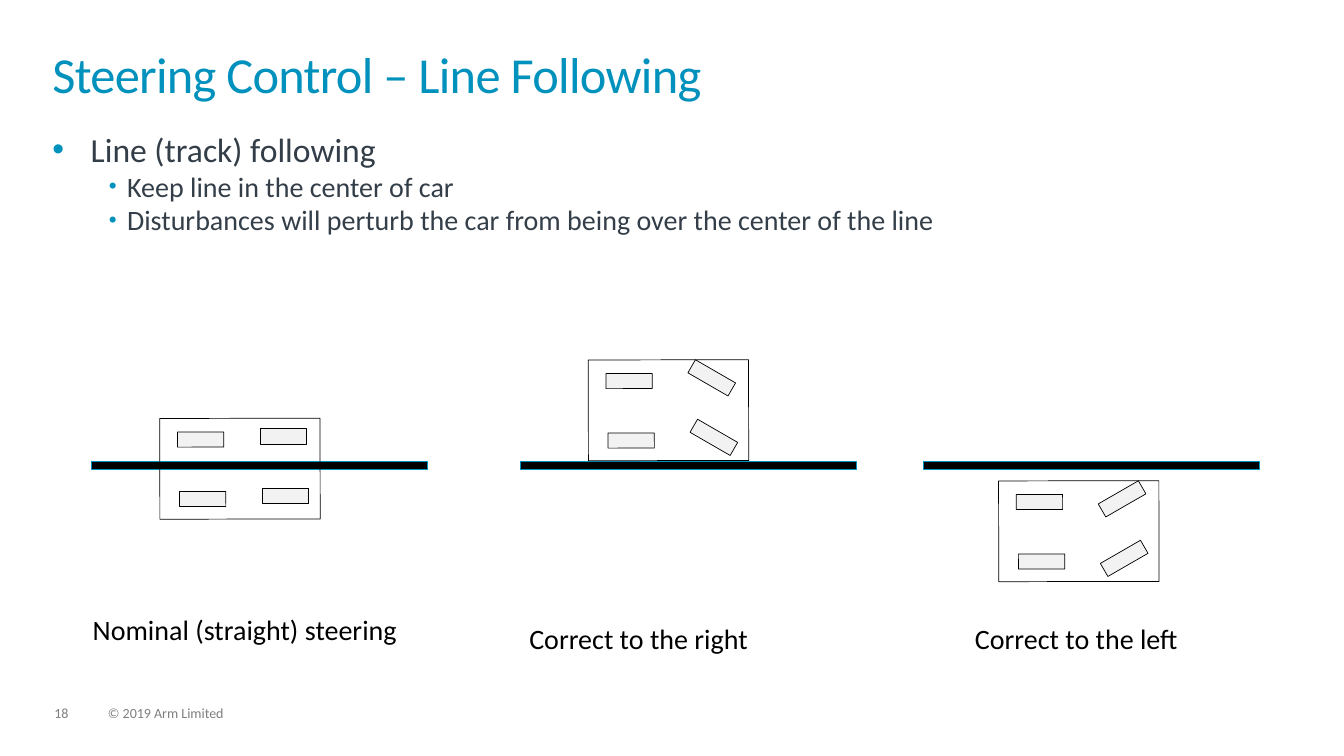
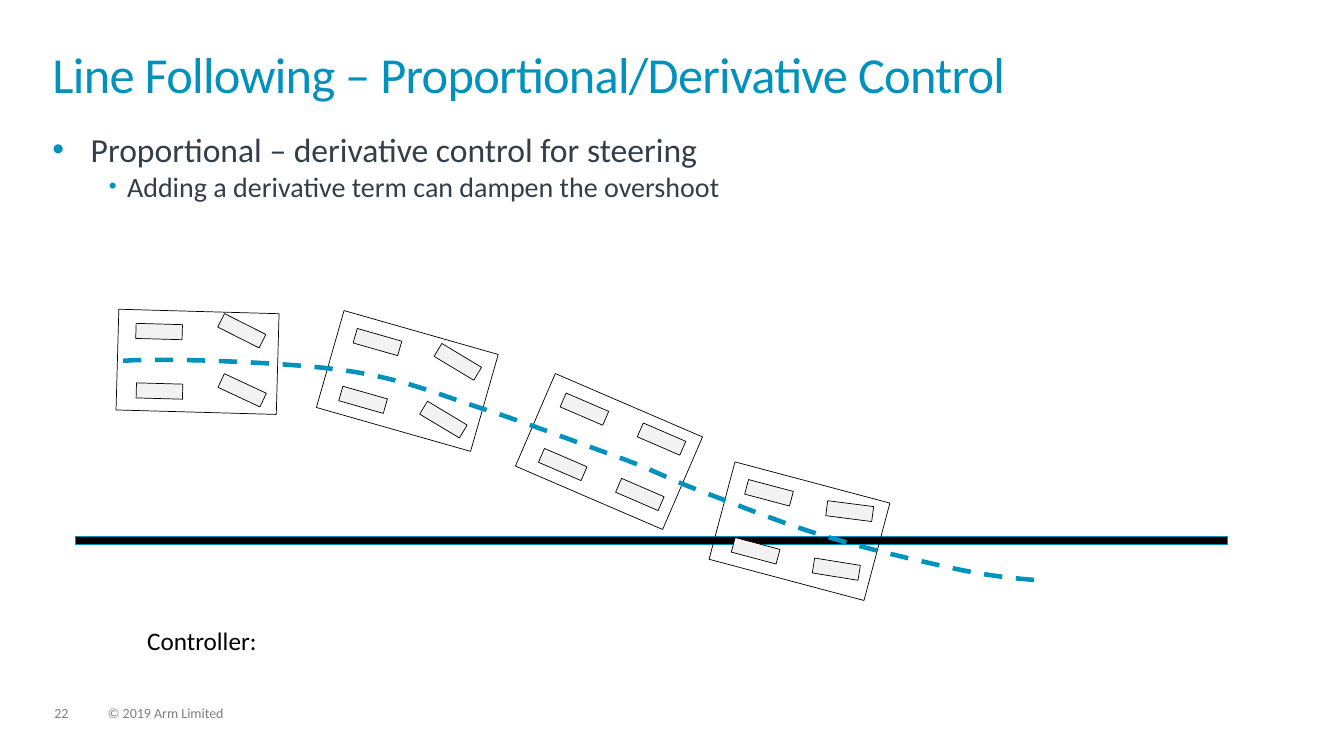
import math

import pptx
import pptx.dml.color
import pptx.enum.dml
import pptx.enum.shapes
import pptx.oxml.ns
import pptx.util
from lxml import etree
from pptx.util import Inches, Pt

RGBColor = pptx.dml.color.RGBColor
BLUE = RGBColor(0x00, 0x91, 0xBD)
SLATE = RGBColor(0x33, 0x3E, 0x48)
GREY = RGBColor(0x7F, 0x7F, 0x7F)
PALE = RGBColor(0xF2, 0xF2, 0xF2)
BLACK = RGBColor(0x00, 0x00, 0x00)
FONT = "Calibri"

# Car geometry: wheel centres relative to the car centre, rear then front
CAR_SIZE = (1.59, 1.0)
WHEEL_SIZE = (0.46, 0.15)
REAR_WHEELS = [(-0.39, -0.29), (-0.37, 0.3)]
FRONT_WHEELS = [(0.43, -0.32), (0.45, 0.27)]

# Bullet levels: text size, left margin, hanging indent, bullet size in percent
LEVELS = [(24, 0.38, 0.38, 100), (20, 0.74, 0.18, 80)]


def style_text(para, size, color):
    for span in para.runs:
        span.font.name = FONT
        span.font.size = Pt(size)
        span.font.color.rgb = color


def add_text(page, box, text, size, color, line_spacing=1.0):
    """Add a text box without insets and return its first paragraph."""
    frame = page.shapes.add_textbox(*map(Inches, box)).text_frame
    frame.margin_left = frame.margin_right = 0
    frame.margin_top = frame.margin_bottom = 0
    frame.word_wrap = True
    para = frame.paragraphs[0]
    para.text = text
    para.line_spacing = line_spacing
    style_text(para, size, color)
    return para


def add_bullet(para, level):
    size, margin, hanging, percent = LEVELS[level]
    props = para._p.get_or_add_pPr()
    props.set("marL", str(Inches(margin)))
    props.set("indent", str(-Inches(hanging)))
    para.level = level
    color = etree.SubElement(props, pptx.oxml.ns.qn("a:buClr"))
    etree.SubElement(color, pptx.oxml.ns.qn("a:srgbClr"), val=str(BLUE))
    etree.SubElement(props, pptx.oxml.ns.qn("a:buSzPct"), val=str(percent * 1000))
    etree.SubElement(props, pptx.oxml.ns.qn("a:buFont"), typeface="Arial")
    etree.SubElement(props, pptx.oxml.ns.qn("a:buChar"), char="•")
    style_text(para, size, SLATE)


def add_frame(deck, number, title, heading, points):
    """Start a slide with its title, bullets and footer."""
    page = deck.slides.add_slide(deck.slide_layouts[6])
    para = add_text(page, (0.52, 0.52, 12.28, 0.72), title, 36, BLUE, 0.85)
    para.runs[0]._r.get_or_add_rPr().set("spc", "-50")

    para = add_text(page, (0.52, 1.28, 12.28, 4.47), heading, 24, SLATE)
    add_bullet(para, 0)
    frame = page.shapes[-1].text_frame
    for point in points:
        para = frame.add_paragraph()
        para.text = point
        add_bullet(para, 1)

    add_text(page, (0.54, 7.01, 0.34, 0.15), str(number), 10, GREY, 0.9)
    add_text(page, (1.07, 7.01, 1.71, 0.15), "© 2019 Arm Limited", 10, GREY, 0.9)
    return page


def add_rect(shapes, box, fill, line, angle=0):
    rect = shapes.add_shape(
        pptx.enum.shapes.MSO_SHAPE.RECTANGLE, *map(Inches, box))
    rect.shadow.inherit = False
    rect.rotation = angle
    if fill is None:
        rect.fill.background()
    else:
        rect.fill.solid()
        rect.fill.fore_color.rgb = fill
    rect.line.color.rgb = line
    rect.line.width = Pt(0.5)


def add_track(page, left, top, width):
    add_rect(page.shapes, (left, top, width, 0.08), BLACK, BLUE)


def add_car(page, center, angle, steering):
    """Draw a car turned by angle; steering holds both front wheel angles."""
    shapes = page.shapes.add_group_shape().shapes
    cos, sin = math.cos(math.radians(angle)), math.sin(math.radians(angle))

    def add_part(offset, size, fill, turn):
        x, y = offset
        left = center[0] + x * cos - y * sin - size[0] / 2
        top = center[1] + x * sin + y * cos - size[1] / 2
        add_rect(shapes, (left, top, *size), fill, BLACK, turn)

    for offset in REAR_WHEELS:
        add_part(offset, WHEEL_SIZE, PALE, angle)
    for offset, turn in zip(FRONT_WHEELS, steering):
        add_part(offset, WHEEL_SIZE, PALE, turn)
    add_part((0, 0), CAR_SIZE, None, angle)


def add_trajectory(page, start, curves, steps=12):
    """Draw a dashed line through cubic Bezier curves."""
    points = [start]
    for first, second, end in curves:
        begin = points[-1]
        for step in range(1, steps + 1):
            t = step / steps
            weights = ((1 - t) ** 3, 3 * t * (1 - t) ** 2,
                       3 * t * t * (1 - t), t ** 3)
            corners = (begin, first, second, end)
            points.append(tuple(
                sum(w * corner[axis] for w, corner in zip(weights, corners))
                for axis in (0, 1)))
    # Freeform vertices are whole numbers, so they are given in EMU
    vertices = [(Inches(x), Inches(y)) for x, y in points]
    builder = page.shapes.build_freeform(*vertices[0], scale=1.0)
    builder.add_line_segments(vertices[1:], close=False)
    curve = builder.convert_to_shape()
    curve.shadow.inherit = False
    curve.fill.background()
    curve.line.color.rgb = BLUE
    curve.line.width = Pt(3.25)
    curve.line.dash_style = pptx.enum.dml.MSO_LINE.DASH


def build_steering_slide(deck):
    page = add_frame(
        deck, 18, "Steering Control – Line Following",
        "Line (track) following",
        ["Keep line in the center of car",
         "Disturbances will perturb the car from being over the center of the line"])
    # Track left, car centre, front wheel angle, caption and its place
    cases = [
        (0.91, (2.38, 4.65), 0, "Nominal (straight) steering", (0.92, 6.08)),
        (5.16, (6.63, 4.07), 30, "Correct to the right", (5.25, 6.17)),
        (9.16, (10.7, 5.27), -30, "Correct to the left", (9.67, 6.17)),
    ]
    for track_left, center, turn, caption, place in cases:
        add_track(page, track_left, 4.58, 3.33)
        add_car(page, center, -0.1, (turn, turn))
        add_text(page, (*place, 3.33, 0.42), caption, 20, BLACK)


def build_control_slide(deck):
    page = add_frame(
        deck, 22, "Line Following – Proportional/Derivative Control",
        "Proportional – derivative control for steering",
        ["Adding a derivative term can dampen the overshoot"])
    add_track(page, 0.75, 5.32, 11.42)
    # Car centre, car angle, front wheel angles
    cars = [
        ((1.96, 3.59), 1.6, (26.8, 25)),
        ((4.04, 3.78), 15.9, (31, 31)),
        ((6.04, 4.48), 23.3, (23.4, 23.4)),
        ((7.93, 5.27), 14.9, (7.3, 9.1)),
    ]
    for car in cars:
        add_car(page, *car)
    add_trajectory(page, (1.22, 3.58), [
        ((1.58, 3.55), (2.79, 3.59), (3.38, 3.67)),
        ((3.98, 3.75), (4.31, 3.9), (4.77, 4.05)),
        ((5.24, 4.2), (5.83, 4.43), (6.2, 4.56)),
        ((6.56, 4.7), (6.65, 4.76), (6.97, 4.88)),
        ((7.29, 5), (7.7, 5.17), (8.12, 5.3)),
        ((8.53, 5.43), (9.09, 5.56), (9.46, 5.64)),
        ((9.83, 5.72), (10.08, 5.74), (10.33, 5.76)),
    ])
    add_text(page, (1.46, 6.2, 2.3, 0.3), "Controller:", 18, BLACK)


def main():
    deck = pptx.Presentation()
    deck.slide_width, deck.slide_height = Inches(13.33), Inches(7.5)
    build_steering_slide(deck)
    build_control_slide(deck)
    deck.save("out.pptx")


if __name__ == "__main__":
    main()
